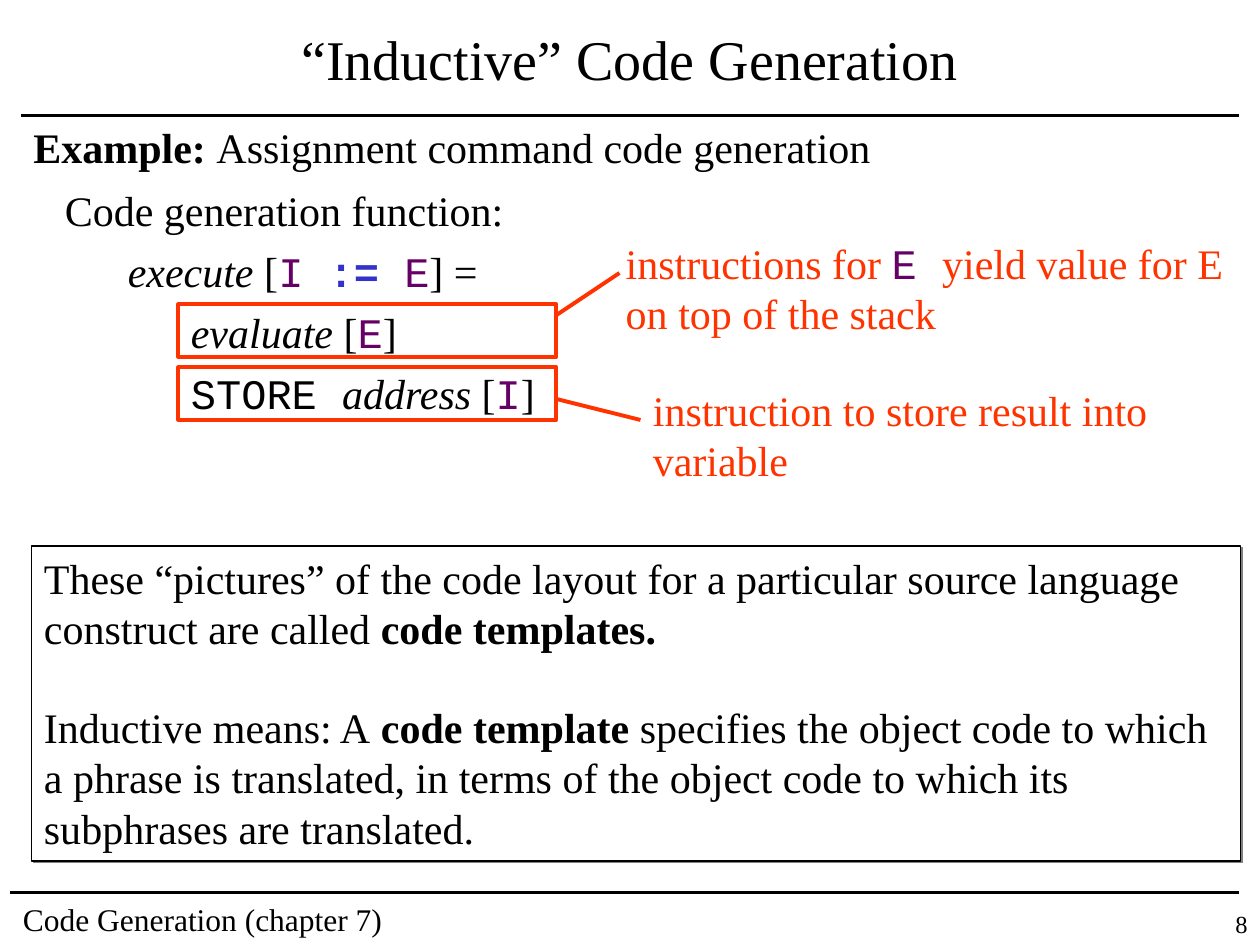
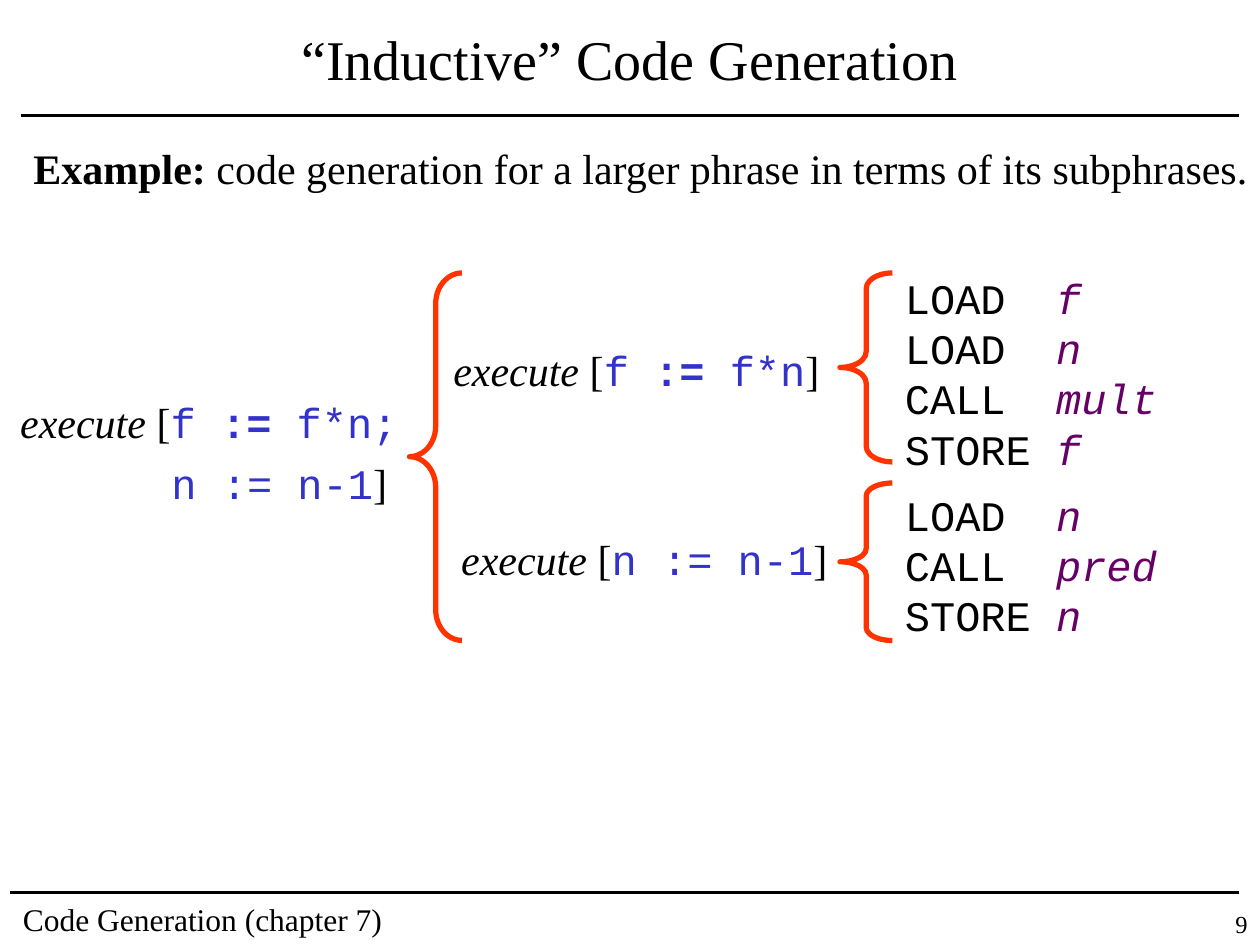
import dataclasses

import lxml.etree
import pptx
import pptx.dml.color
import pptx.enum.shapes
import pptx.enum.text
import pptx.oxml.ns
import pptx.util

Pt = pptx.util.Pt
RGBColor = pptx.dml.color.RGBColor
Align = pptx.enum.text.PP_ALIGN
Anchor = pptx.enum.text.MSO_ANCHOR
AutoSize = pptx.enum.text.MSO_AUTO_SIZE
Shape = pptx.enum.shapes.MSO_SHAPE
qn = pptx.oxml.ns.qn

BLACK = RGBColor(0x00, 0x00, 0x00)
WHITE = RGBColor(0xFF, 0xFF, 0xFF)
RED = RGBColor(0xFF, 0x33, 0x00)
PURPLE = RGBColor(0x66, 0x00, 0x66)
BLUE = RGBColor(0x33, 0x33, 0xCC)
GREY = RGBColor(0x80, 0x80, 0x80)

SERIF, MONO = "Times New Roman", "Courier New"
LINE_HEIGHT = 27.6  # one line of 24 pt serif text
OPERAND_INDENT = 86.4  # six monospaced characters at 24 pt


@dataclasses.dataclass(frozen=True)
class Look:
    font: str = SERIF
    colour: RGBColor = BLACK
    bold: bool = False
    italic: bool = False
    size: float = 24


PLAIN = Look()
BOLD = Look(bold=True)
ITALIC = Look(italic=True)
NOTE = Look(colour=RED)
OPCODE = Look(MONO)
SYMBOL = Look(MONO, PURPLE)
OPERAND = Look(MONO, PURPLE, italic=True)
CODE = Look(MONO, BLUE)
CODE_BOLD = Look(MONO, BLUE, bold=True)
TITLE = Look(size=32)
FOOTER = Look(size=18)
PAGE = Look(size=14)


@dataclasses.dataclass
class Para:
    runs: list
    before: float = 0
    indent: float = 0
    tab: float = 0
    align: Align = Align.LEFT


class Deck:
    def __init__(self):
        self.prs = pptx.Presentation()
        self.prs.slide_width, self.prs.slide_height = Pt(720), Pt(540)
        self.slide = None

    def new_slide(self, title, page):
        """Start a slide with the shared title, rules, footer and page number."""
        self.slide = self.prs.slides.add_slide(self.prs.slide_layouts[5])
        self.line((12, 66), (708, 66), BLACK)
        self.text((6, 511, 276, 29), [Para([("Code Generation (chapter 7)", FOOTER)])])
        self.line((6, 510), (708, 510), BLACK)
        heading = self.slide.shapes.title
        heading.left, heading.top, heading.width, heading.height = map(Pt, (18, 6, 684, 54))
        heading.text_frame.vertical_anchor = Anchor.MIDDLE
        self.fill_frame(heading.text_frame, [Para([(title, TITLE)], align=Align.CENTER)],
                        AutoSize.NONE)
        self.text((666, 516, 54, 24), [Para([(page, PAGE)], align=Align.RIGHT)])

    def fill_frame(self, frame, paras, auto_size=AutoSize.SHAPE_TO_FIT_TEXT, wrap=True):
        frame.word_wrap = wrap
        frame.auto_size = auto_size
        for number, para in enumerate(paras):
            paragraph = frame.add_paragraph() if number else frame.paragraphs[0]
            paragraph.alignment = para.align
            paragraph.space_before = Pt(para.before)
            props = paragraph._p.get_or_add_pPr()
            if para.indent:
                props.set("marL", str(Pt(para.indent)))
                props.set("indent", "0")
            if para.tab:
                stops = lxml.etree.SubElement(props, qn("a:tabLst"))
                lxml.etree.SubElement(stops, qn("a:tab"), pos=str(Pt(para.tab)), algn="l")
            for words, look in para.runs:
                run = paragraph.add_run()
                run.text = words
                run.font.name, run.font.size = look.font, Pt(look.size)
                run.font.bold, run.font.italic = look.bold, look.italic
                run.font.color.rgb = look.colour

    def text(self, box, paras, wrap=True):
        holder = self.slide.shapes.add_textbox(*map(Pt, box))
        self.fill_frame(holder.text_frame, paras, wrap=wrap)

    def line(self, start, end, colour):
        rule = self.slide.shapes.add_connector(
            pptx.enum.shapes.MSO_CONNECTOR.STRAIGHT, *map(Pt, start + end))
        rule.line.color.rgb, rule.line.width = colour, Pt(2.25)
        lxml.etree.SubElement(rule._element.spPr, qn("a:effectLst"))

    def outline(self, kind, box, colour, width):
        shape = self.slide.shapes.add_shape(kind, *map(Pt, box))
        shape.shadow.inherit = False
        shape.fill.background()
        shape.line.color.rgb, shape.line.width = colour, Pt(width)
        return shape

    def brace(self, left, top, height):
        width = 30
        brace = self.outline(Shape.LEFT_BRACE, (left, top, width, height), RED, 3)
        brace.adjustments[0] = height / 12 / width
        brace.adjustments[1] = 0.5

    def shadowed_panel(self, box, paras):
        panel = self.outline(Shape.RECTANGLE, box, BLACK, 0.75)
        panel.fill.solid()
        panel.fill.fore_color.rgb = WHITE
        effects = panel._element.spPr.find(qn("a:effectLst"))
        shadow = lxml.etree.SubElement(effects, qn("a:outerShdw"), dist=str(Pt(1.4)),
                                       dir="2700000", algn="ctr", rotWithShape="0")
        lxml.etree.SubElement(shadow, qn("a:srgbClr"), val=str(GREY))
        panel.text_frame.vertical_anchor = Anchor.TOP
        self.fill_frame(panel.text_frame, paras)

    def instructions(self, box, listing):
        """List opcodes with their operands aligned in a second column."""
        self.text(box, [Para([(opcode + "\t", OPCODE), (operand, OPERAND)], tab=OPERAND_INDENT)
                        for opcode, operand in listing], wrap=False)


def execute(*code):
    return [("execute", ITALIC), (" [", PLAIN), *code]


def template_slide(deck):
    deck.new_slide("“Inductive” Code Generation", "8")
    deck.text((12, 66, 499, 36), [Para([
        ("Example: ", BOLD), ("Assignment command code generation", PLAIN)])], wrap=False)

    # Code generation function
    deck.text((30, 102, 660, 140.4), [
        Para([("Code generation function:", PLAIN)], before=6),
        Para(execute(("I ", SYMBOL), (":= ", CODE_BOLD), ("E", SYMBOL), ("] =", PLAIN)),
             before=6, indent=36),
        Para([("evaluate", ITALIC), (" [", PLAIN), ("E", SYMBOL), ("]", PLAIN)],
             before=6, indent=72),
        Para([("STORE ", OPCODE), ("address ", ITALIC), ("[", PLAIN), ("I", SYMBOL),
              ("]", PLAIN)], before=6, indent=72),
    ])

    # Explanations of the two steps
    deck.text((350.5, 132, 357, 65), [Para([
        ("instructions for ", NOTE), ("E ", SYMBOL),
        ("yield value for E on top of the stack", NOTE)])])
    deck.text((366, 216, 330, 65), [Para([("instruction to store result into variable", NOTE)])])
    for step_top in (174, 210):
        deck.outline(Shape.RECTANGLE, (102, step_top, 216, 30), RED, 2.25)
    deck.line((318, 180), (354, 156), RED)
    deck.line((318, 228), (366, 240), RED)

    # Definition
    deck.shadowed_panel((18, 312, 691, 180), [
        Para([("These “pictures” of the code layout for a particular source language "
               "construct are called ", PLAIN), ("code templates.", BOLD)]),
        Para([("Inductive means: A", PLAIN), (" code template", BOLD),
              (" specifies the object code to which a phrase is translated, in terms of "
               "the object code to which its subphrases are translated.", PLAIN)],
             before=LINE_HEIGHT),
    ])


def subphrase_slide(deck):
    deck.new_slide("“Inductive” Code Generation", "9")
    deck.text((12, 78, 726, 36), [Para([
        ("Example: ", BOLD),
        ("code generation for a larger phrase in terms of its subphrases.", PLAIN)])])

    # Whole phrase
    assign_f = [("f ", CODE), (":=", CODE_BOLD)]
    assign_n = [("n := n-1", CODE), ("]", PLAIN)]
    deck.text((4.5, 223, 230, 71), [
        Para(execute(*assign_f, (" f*n;", CODE)), before=6),
        Para(assign_n, before=6, indent=OPERAND_INDENT),
    ], wrap=False)
    deck.brace(234, 156, 210)

    # Subphrases
    deck.text((252, 193.5, 230, 36),
              [Para(execute(*assign_f, (" f*n", CODE), ("]", PLAIN)), before=6)], wrap=False)
    deck.text((256.5, 301.5, 230, 36), [Para(execute(*assign_n), before=6)], wrap=False)

    # Object code
    deck.instructions((510, 152, 158.4, 122.5),
                      [("LOAD", "f"), ("LOAD", "n"), ("CALL", "mult"), ("STORE", "f")])
    deck.instructions((510, 276, 158.4, 93.5),
                      [("LOAD", "n"), ("CALL", "pred"), ("STORE", "n")])
    deck.brace(480, 276, 90)
    deck.brace(480, 156, 108)


def main():
    deck = Deck()
    template_slide(deck)
    subphrase_slide(deck)
    deck.prs.save("out.pptx")


if __name__ == "__main__":
    main()
